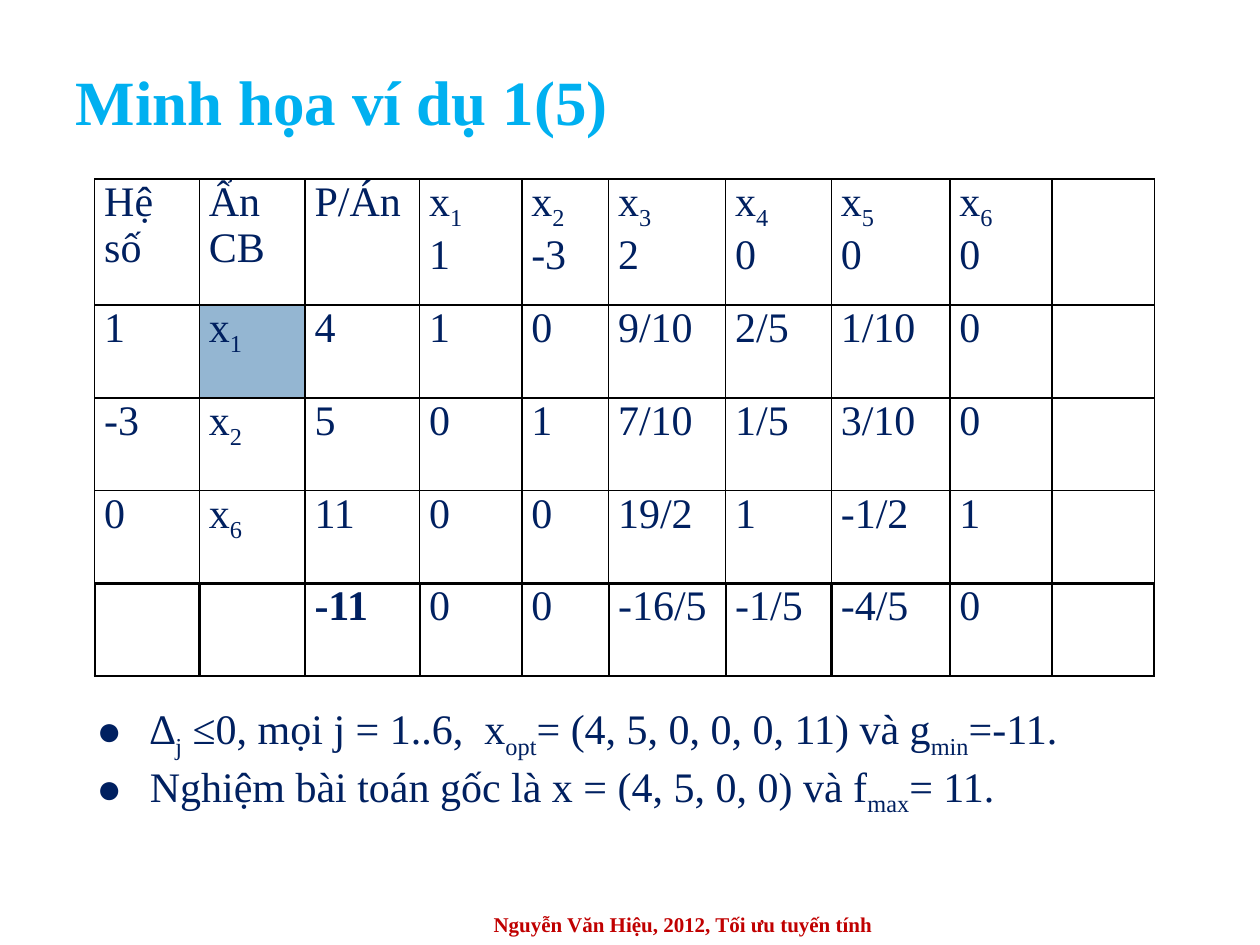
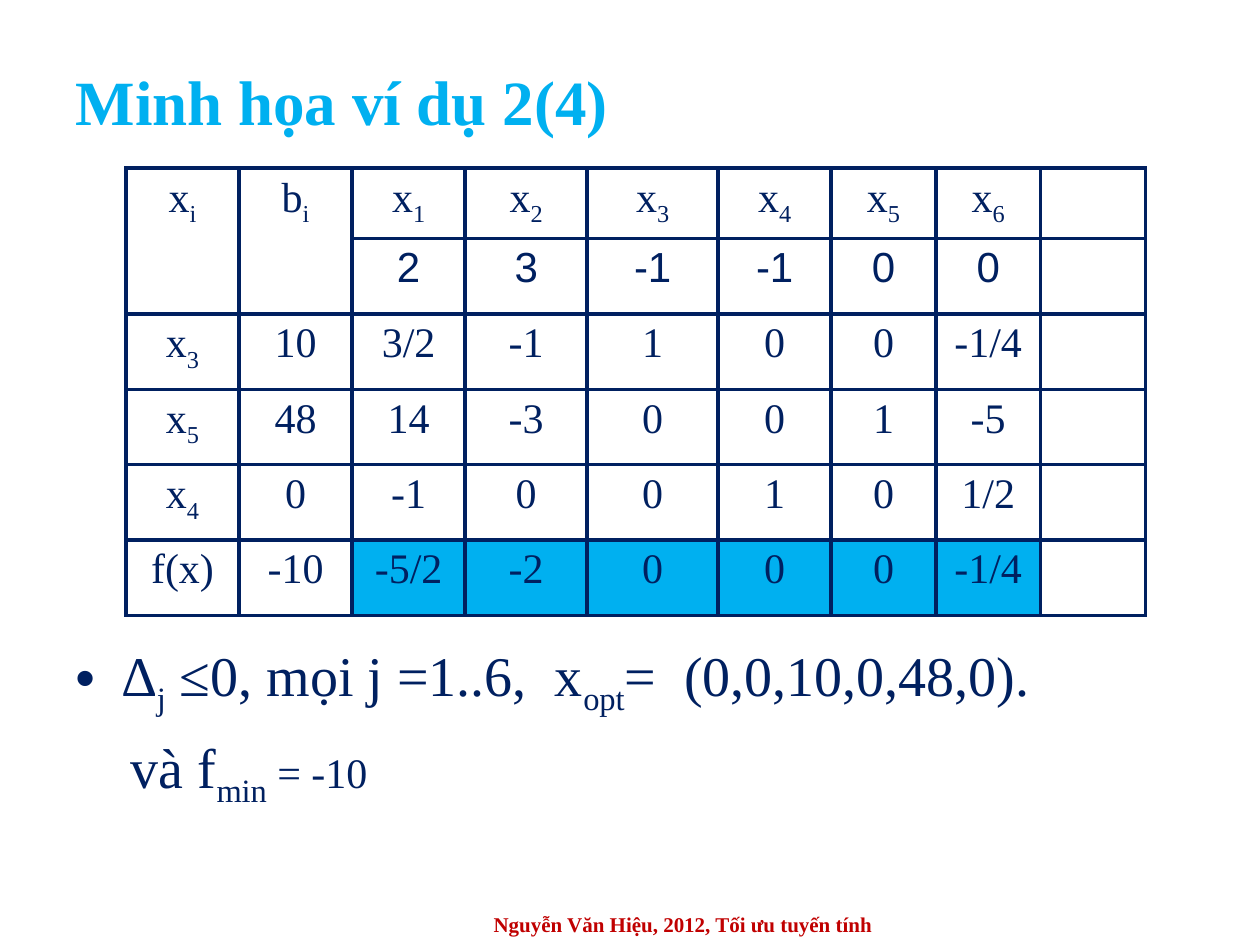
from lxml.etree import SubElement
from pptx import Presentation
from pptx.dml.color import RGBColor as RGB
from pptx.enum.text import MSO_ANCHOR as ANCHOR, MSO_AUTO_SIZE as AUTO, PP_ALIGN as AL
from pptx.oxml.ns import qn
from pptx.util import Cm, Pt

COLORS = {"title": "00B0F0", "text": "002060", "footer": "C00000",
          "basis": "94B6D2", "delta": "00B0F0", "black": "000000"}
SERIF, SANS = "Times New Roman", "Arial"
FOOTER = "Nguyễn Văn Hiệu, 2012, Tối ưu tuyến tính"


class Deck:
    def __init__(self):
        self.prs = Presentation()
        self.prs.slide_width, self.prs.slide_height = Cm(25.4), Cm(19.05)
        self.s = None

    def add_runs(self, p, text, size=24, color="text", font=SERIF, bold=False):
        """Put text into a paragraph; parts in braces become subscripts."""
        style = {"name": font, "size": Pt(size), "bold": bold}
        for i, part in enumerate(text.replace("}", "{").split("{")):
            if not part:
                continue
            r = p.add_run()
            r.text = part
            for key, value in style.items():
                setattr(r.font, key, value)
            r.font.color.rgb = RGB.from_string(COLORS[color])
            if i % 2:
                r._r.get_or_add_rPr().set("baseline", "-25000")

    def slide(self, title):
        self.s = self.prs.slides.add_slide(self.prs.slide_layouts[5])
        sp = self.s.shapes.title
        place = {"left": 1.27, "top": 1.07, "width": 22.86, "height": 1.9}
        for key, value in place.items():
            setattr(sp, key, Cm(value))
        tf = sp.text_frame
        tf.auto_size, tf.vertical_anchor = AUTO.NONE, ANCHOR.MIDDLE
        p = tf.paragraphs[0]
        p.alignment = AL.LEFT
        self.add_runs(p, title, 36, "title", bold=True)
        p = self.box(7.42, 18.21, 12.7, 0.84).paragraphs[0]
        p.alignment = AL.CENTER
        self.add_runs(p, FOOTER, 12, "footer", bold=True)

    def box(self, x, y, w, h, anchor=ANCHOR.MIDDLE):
        tf = self.s.shapes.add_textbox(Cm(x), Cm(y), Cm(w), Cm(h)).text_frame
        tf.word_wrap, tf.vertical_anchor = True, anchor
        return tf

    def paragraph(self, tf, first=False, bullet=None, left=0, hang=0, before=0):
        p = tf.paragraphs[0] if first else tf.add_paragraph()
        p.alignment, p.space_before = AL.JUSTIFY, Pt(before)
        pPr = p._p.get_or_add_pPr()
        pPr.set("marL", str(int(Cm(left))))
        pPr.set("indent", str(-int(Cm(hang))))
        if bullet:
            SubElement(pPr, qn("a:buFont"), typeface=SANS)
            SubElement(pPr, qn("a:buChar"), char=bullet)
        return p

    def borders(self, cell, color, widths):
        tcPr = cell._tc.get_or_add_tcPr()
        for side, width in zip("LRTB", widths):
            ln = SubElement(tcPr, qn(f"a:ln{side}"), w=str(int(Pt(width))))
            fill = SubElement(ln, qn("a:solidFill"))
            SubElement(fill, qn("a:srgbClr"), val=COLORS[color])

    def table(self, x, y, cols, heights, rows, line, widths, align, inset,
              fills=None, bold=(), sans_rows=()):
        """widths gives the L, R, T, B line widths of a row; fills maps cells to colours."""
        fills = fills or {}
        tbl = self.s.shapes.add_table(len(rows), len(cols), Cm(x), Cm(y),
                                      Cm(sum(cols)), Cm(sum(heights))).table
        tbl.first_row = tbl.horz_banding = False
        for col, w in zip(tbl.columns, cols):
            col.width = Cm(w)
        for row, h in zip(tbl.rows, heights):
            row.height = Cm(h)
        mx, my = inset
        margins = {"margin_left": mx, "margin_right": mx,
                   "margin_top": my, "margin_bottom": my}
        for i, texts in enumerate(rows):
            for j, text in enumerate(texts):
                cell = tbl.cell(i, j)
                for key, value in margins.items():
                    setattr(cell, key, Cm(value))
                self.borders(cell, line, widths(i))
                if (i, j) in fills:
                    cell.fill.solid()
                    cell.fill.fore_color.rgb = RGB.from_string(COLORS[fills[i, j]])
                else:
                    cell.fill.background()
                if not text:
                    continue
                tf = cell.text_frame
                for k, line_text in enumerate(text.split("\n")):
                    p = tf.add_paragraph() if k else tf.paragraphs[0]
                    p.alignment = align
                    self.add_runs(p, line_text, font=SANS if i in sans_rows else SERIF,
                                  bold=(i, j) in bold)
        return tbl


def split_rows(*lines):
    return [line.split("|") for line in lines]


def example_1(deck):
    deck.slide("Minh họa ví dụ 1(5)")

    # Simplex table with costs under the variables
    costs = [1, -3, 2, 0, 0, 0]
    head = ["Hệ số", "Ẩn CB", "P/Án"]
    head += [f"x{{{j}}}\n{c}" for j, c in enumerate(costs, 1)] + [""]
    rows = [head] + split_rows(
        "1|x{1}|4|1|0|9/10|2/5|1/10|0|",
        "-3|x{2}|5|0|1|7/10|1/5|3/10|0|",
        "0|x{6}|11|0|0|19/2|1|-1/2|1|",
        "||-11|0|0|-16/5|-1/5|-4/5|0|")
    line_widths = {3: (1, 1, 1, 1.5), 4: (1.5,) * 4}
    deck.table(1.91, 3.61, [2.11, 2.13, 2.31, 2.06, 1.75, 2.36, 2.13, 2.39, 2.06, 2.06],
               [2.54] + [1.87] * 4, rows, "black",
               lambda i: line_widths.get(i, (1,) * 4), AL.JUSTIFY, (0.19, 0),
               fills={(1, 1): "basis"}, bold={(4, 2)})

    # Conclusions
    tf = deck.box(1.5, 14.17, 22.2, 2.31)
    for i, text in enumerate((
            "∆{j} ≤0, mọi j = 1..6,  x{opt}= (4, 5, 0, 0, 0, 11) và g{min}=-11.",
            "Nghiệm bài toán gốc là x = (4, 5, 0, 0) và f{max}= 11.")):
        deck.add_runs(deck.paragraph(tf, i == 0, "●", 1.27, 1.07), text)


def example_2(deck):
    deck.slide("Minh họa ví dụ 2(4)")

    # Simplex table with a two-row head
    variables = [f"x{{{j}}}" for j in range(1, 7)]
    rows = [["x{i}", "b{i}", *variables, ""]] + split_rows(
        "||2|3|-1|-1|0|0|",
        "x{3}|10|3/2|-1|1|0|0|-1/4|",
        "x{5}|48|14|-3|0|0|1|-5|",
        "x{4}|0|-1|0|0|1|0|1/2|",
        "f(x)|-10|-5/2|-2|0|0|0|-1/4|")
    tbl = deck.table(2.54, 3.39, [2.28, 2.28, 2.28, 2.46, 2.64, 2.28, 2.11, 2.11, 2.11],
                     [1.3] + [1.52] * 5, rows, "text", lambda i: (2.25,) * 4,
                     AL.CENTER, (0.25, 0.13),
                     fills={(5, j): "delta" for j in range(2, 8)}, sans_rows={1})
    for j in range(2):
        tbl.cell(0, j).merge(tbl.cell(1, j))

    # Conclusion
    tf = deck.box(1.27, 12.78, 22.86, 4.24, ANCHOR.TOP)
    p = deck.paragraph(tf, True, "•", 0.95, 0.95)
    deck.add_runs(p, "∆{j} ≤0, mọi j =1..6,  x{opt}=  (0,0,10,0,48,0).", 32)
    p = deck.paragraph(tf, left=1.12, before=9)
    deck.add_runs(p, "và f{min}", 32)
    deck.add_runs(p, " = -10")


def main():
    deck = Deck()
    example_1(deck)
    example_2(deck)
    deck.prs.save("out.pptx")


if __name__ == "__main__":
    main()
